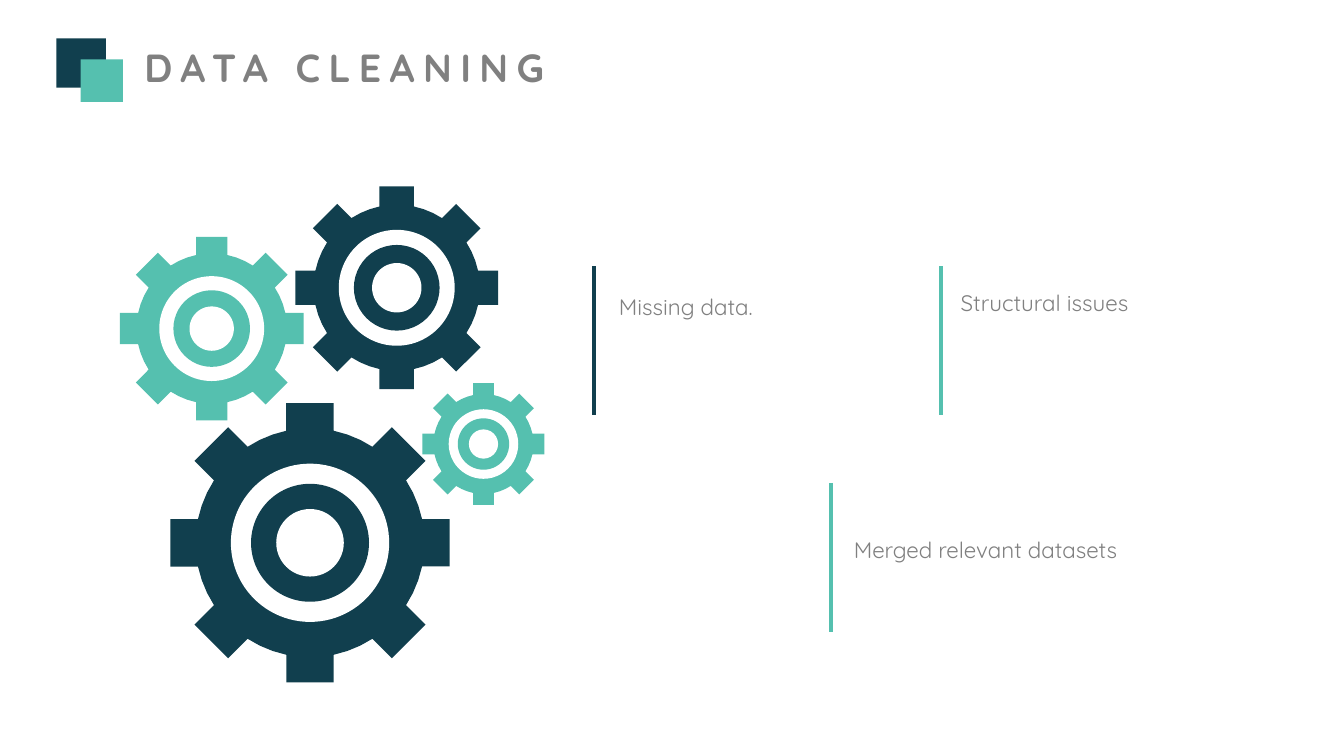
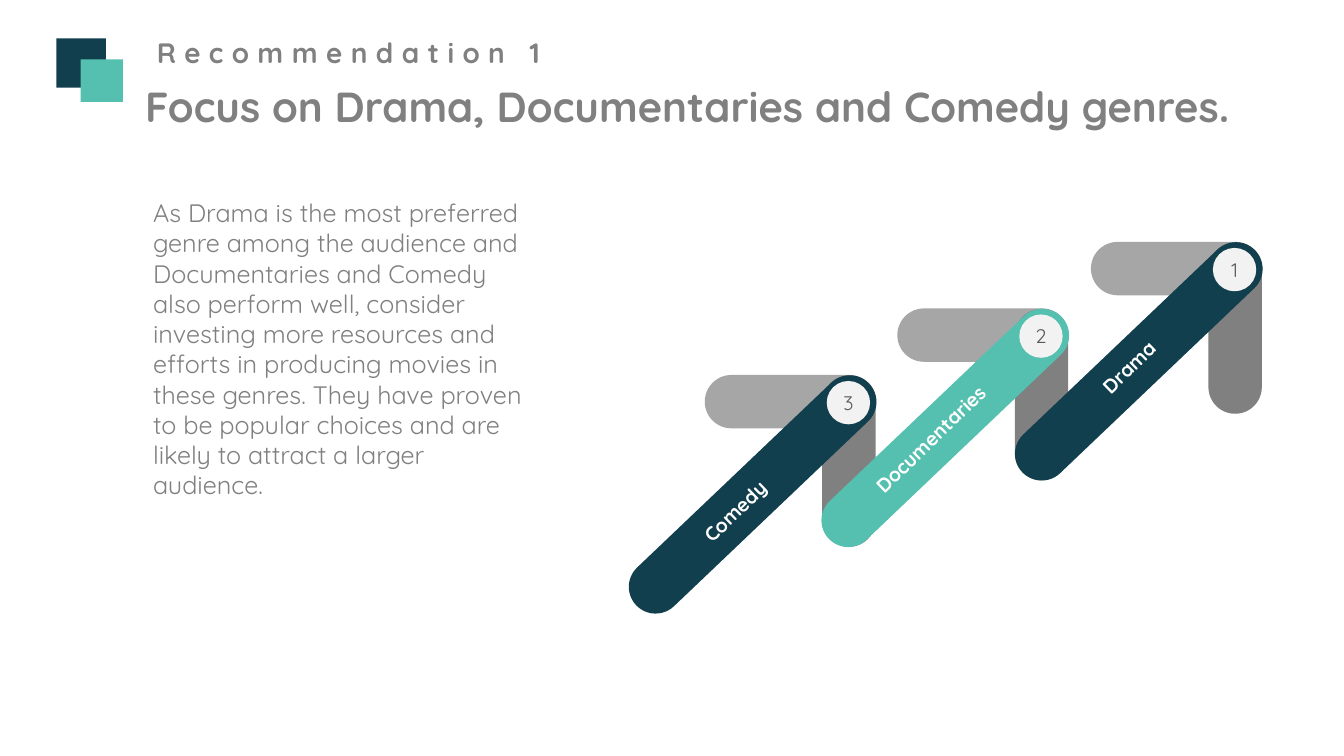
from dataclasses import dataclass
from math import asin, cos, pi, sin

from lxml import etree
from pptx import Presentation
from pptx.dml.color import RGBColor
from pptx.enum.shapes import MSO_CONNECTOR, MSO_SHAPE
from pptx.enum.text import MSO_ANCHOR, MSO_AUTO_SIZE, PP_ALIGN
from pptx.oxml.ns import qn
from pptx.shapes.autoshape import Shape
from pptx.slide import Slide
from pptx.text.text import TextFrame
from pptx.util import Emu, Pt

PX = 9144  # 100 px to the inch
WIDTH, HEIGHT = 1333, 750
FONT = "Quicksand"

NAVY = RGBColor(0x11, 0x3F, 0x4E)
TEAL = RGBColor(0x55, 0xC0, 0xAF)
GREY = RGBColor(0x80, 0x80, 0x80)
LIGHT_GREY = RGBColor(0xA6, 0xA6, 0xA6)
DARK_GREY = RGBColor(0x59, 0x59, 0x59)
PALE = RGBColor(0xF2, 0xF2, 0xF2)
WHITE = RGBColor(0xFF, 0xFF, 0xFF)

RECTANGLE = MSO_SHAPE.RECTANGLE
PILL = MSO_SHAPE.ROUNDED_RECTANGLE
OVAL = MSO_SHAPE.OVAL
STRAIGHT = MSO_CONNECTOR.STRAIGHT
LEFT, CENTER = PP_ALIGN.LEFT, PP_ALIGN.CENTER
MIDDLE = MSO_ANCHOR.MIDDLE
GROW = MSO_AUTO_SIZE.SHAPE_TO_FIT_TEXT

# Gear proportions, relative to the outer radius
TEETH = 8
BODY = 0.82
TOOTH_HALF = 0.17
OUTER_RING, INNER_RING, HOLE = 0.57, 0.42, 0.24
ARC_STEPS = 3
FINE = 100  # freeform units per px


@dataclass(frozen=True)
class Box:
    left: int
    top: int
    width: int
    height: int

    def emu(self) -> tuple[Emu, Emu, Emu, Emu]:
        return px(self.left), px(self.top), px(self.width), px(self.height)

    def moved(self, right: int, down: int) -> "Box":
        return Box(self.left + right, self.top + down, self.width, self.height)


@dataclass(frozen=True)
class Gear:
    left: int
    top: int
    diameter: int
    color: RGBColor


@dataclass(frozen=True)
class Issue:
    text: str
    box: Box
    bar_left: int
    bar_top: int
    color: RGBColor


@dataclass(frozen=True)
class Step:
    rank: str
    genre: str
    left: int
    top: int
    color: RGBColor
    label: Box


GEARS = (
    Gear(293, 185, 201, NAVY),
    Gear(169, 400, 277, NAVY),
    Gear(119, 235, 182, TEAL),
    Gear(419, 380, 121, TEAL),
)

BAR_HEIGHT = 148
ISSUES = (
    Issue("Missing data.", Box(604, 286, 389, 37), 589, 264, NAVY),
    Issue("Structural issues", Box(943, 282, 389, 37), 933, 264, TEAL),
    Issue("Merged relevant datasets", Box(837, 527, 389, 37), 824, 479, TEAL),
)

STEPS = (
    Step("3", "Comedy", 699, 372, NAVY, Box(679, 486, 109, 34)),
    Step("2", "Documentaries", 890, 306, TEAL, Box(841, 416, 170, 34)),
    Step("1", "Drama", 1082, 240, NAVY, Box(1077, 346, 89, 34)),
)
# Parts of one arrow, relative to its top bar
TOP_BAR = Box(0, 0, 170, 53)
SIDE_BAR = Box(58, 59, 170, 53)
SHAFT = Box(-112, 92, 319, 53)
DISK = Box(121, 6, 43, 43)
SHAFT_ANGLE = 136.4
LABEL_ANGLE = 316

ADVICE = (
    "As Drama is the most preferred genre among the audience and Documentaries "
    "and Comedy also perform well, consider investing more resources and efforts "
    "in producing movies in these genres. They have proven to be popular choices "
    "and are likely to attract a larger audience."
)


def px(length: int) -> Emu:
    return Emu(length * PX)


def write(frame: TextFrame, text: str, *, size: int, color: RGBColor = GREY,
          bold: bool = False, align: PP_ALIGN = LEFT, spacing: int = 0,
          wrap: bool = True) -> None:
    """Fill a frame with one paragraph; spacing is between letters, in points."""
    frame.word_wrap = wrap
    para = frame.paragraphs[0]
    para.alignment = align
    span = para.add_run()
    span.text = text
    span.font.name = FONT
    span.font.size = Pt(size)
    span.font.bold = bold
    span.font.color.rgb = color
    if spacing:
        span._r.get_or_add_rPr().set("spc", str(spacing * 100))


def add_text(page: Slide, box: Box, text: str, *, angle: float = 0, **style) -> None:
    holder = page.shapes.add_textbox(*box.emu())
    holder.rotation = angle
    write(holder.text_frame, text, **style)
    holder.text_frame.auto_size = GROW


def paint(shape: Shape, color: RGBColor) -> None:
    shape.shadow.inherit = False
    shape.fill.solid()
    shape.fill.fore_color.rgb = color
    shape.line.fill.background()


def add_block(page: Slide, kind: MSO_SHAPE, box: Box, color: RGBColor,
              angle: float = 0) -> Shape:
    block = page.shapes.add_shape(kind, *box.emu())
    block.rotation = angle
    if kind == PILL:
        block.adjustments[0] = 0.5
    paint(block, color)
    return block


def add_bar(page: Slide, left: int, top: int, color: RGBColor) -> None:
    bar = page.shapes.add_connector(
        STRAIGHT, px(left), px(top), px(left), px(top + BAR_HEIGHT))
    bar.line.color.rgb = color
    bar.line.width = Pt(3)
    etree.SubElement(bar._element.spPr, qn("a:effectLst"))


def polar(radius: float, angle: float) -> tuple[float, float]:
    return radius * cos(angle), radius * sin(angle)


def gear_outline() -> list[tuple[float, float]]:
    """Toothed edge of a gear of radius 1 centred on the origin."""
    pitch = 2 * pi / TEETH
    root = asin(TOOTH_HALF / BODY)
    tip_radius = (1 + TOOTH_HALF ** 2) ** 0.5
    tip = asin(TOOTH_HALF / tip_radius)
    points = []
    for tooth in range(TEETH):
        middle = tooth * pitch
        points += [polar(tip_radius, middle - tip), polar(tip_radius, middle + tip)]
        points += [
            polar(BODY, middle + root + (pitch - 2 * root) * step / ARC_STEPS)
            for step in range(ARC_STEPS + 1)
        ]
    return points


def add_gear(page: Slide, gear: Gear) -> None:
    radius = gear.diameter / 2
    edge = [
        (round((gear.left + radius * (1 + x)) * FINE),
         round((gear.top + radius * (1 + y)) * FINE))
        for x, y in gear_outline()
    ]
    builder = page.shapes.build_freeform(*edge[0], scale=PX / FINE)
    builder.add_line_segments(edge[1:], close=True)
    paint(builder.convert_to_shape(), gear.color)
    for ratio, color in ((OUTER_RING, WHITE), (INNER_RING, gear.color), (HOLE, WHITE)):
        inset = round(radius * (1 - ratio))
        size = gear.diameter - 2 * inset
        add_block(page, OVAL, Box(gear.left + inset, gear.top + inset, size, size), color)


def add_step(page: Slide, step: Step) -> None:
    def place(part: Box) -> Box:
        return part.moved(step.left, step.top)

    add_block(page, PILL, place(TOP_BAR), LIGHT_GREY)
    add_block(page, PILL, place(SIDE_BAR), GREY, 90)
    add_block(page, PILL, place(SHAFT), step.color, SHAFT_ANGLE)
    disk = add_block(page, OVAL, place(DISK), PALE)
    disk.text_frame.vertical_anchor = MIDDLE
    write(disk.text_frame, step.rank, size=14, color=DARK_GREY, align=CENTER, wrap=False)


def add_page(deck: Presentation, title: str, box: Box, size: int) -> Slide:
    """Add a blank slide with the spaced title and the two overlapping squares."""
    page = deck.slides.add_slide(deck.slide_layouts[6])
    add_text(page, box, title, size=size, bold=True, align=CENTER, spacing=6, wrap=False)
    add_block(page, RECTANGLE, Box(56, 38, 49, 49), NAVY)
    add_block(page, RECTANGLE, Box(80, 59, 42, 42), TEAL)
    return page


def build_cleaning(deck: Presentation) -> None:
    page = add_page(deck, "DATA CLEANING", Box(120, 38, 443, 57), 28)
    for issue in ISSUES:
        add_bar(page, issue.bar_left, issue.bar_top, issue.color)
        add_text(page, issue.box, issue.text, size=16)
    for gear in GEARS:
        add_gear(page, gear)


def build_recommendation(deck: Presentation) -> None:
    page = add_page(deck, "Recommendation 1", Box(134, 30, 423, 44), 20)
    add_text(page, Box(134, 75, 1129, 61),
             "Focus on Drama, Documentaries and Comedy genres.", size=30, bold=True)
    add_text(page, Box(142, 191, 387, 370), ADVICE, size=18)
    for step in STEPS:
        add_step(page, step)
    for step in STEPS:
        add_text(page, step.label, step.genre, angle=LABEL_ANGLE,
                 size=14, color=WHITE, bold=True, wrap=False)


def main() -> None:
    deck = Presentation()
    deck.slide_width, deck.slide_height = px(WIDTH), px(HEIGHT)
    build_cleaning(deck)
    build_recommendation(deck)
    deck.save("out.pptx")


if __name__ == "__main__":
    main()
